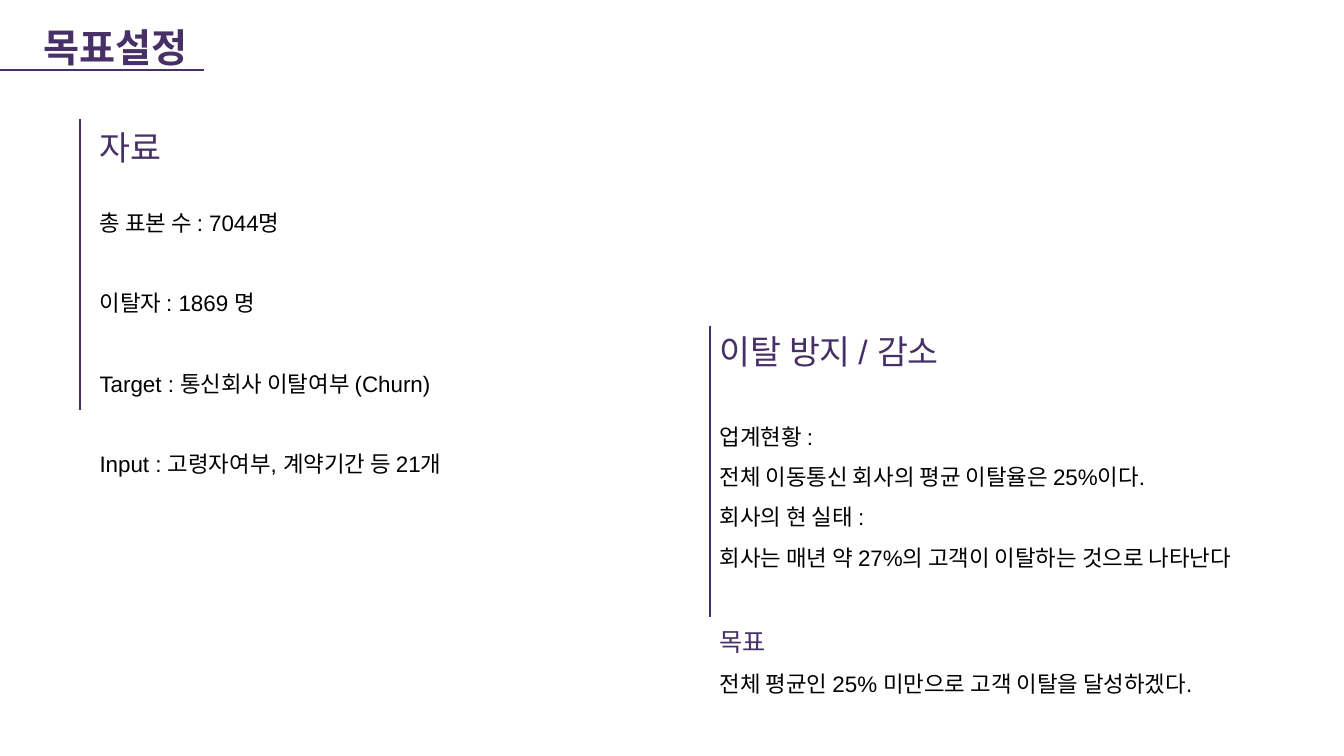
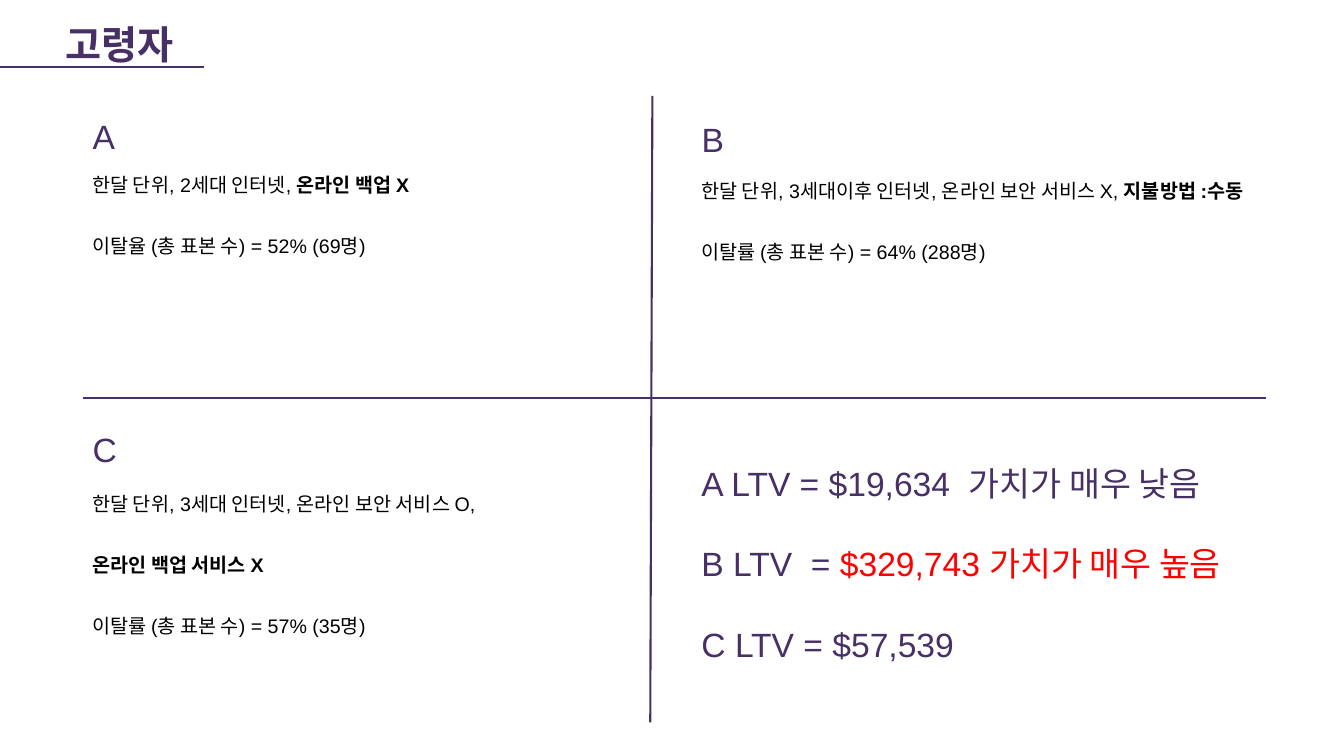
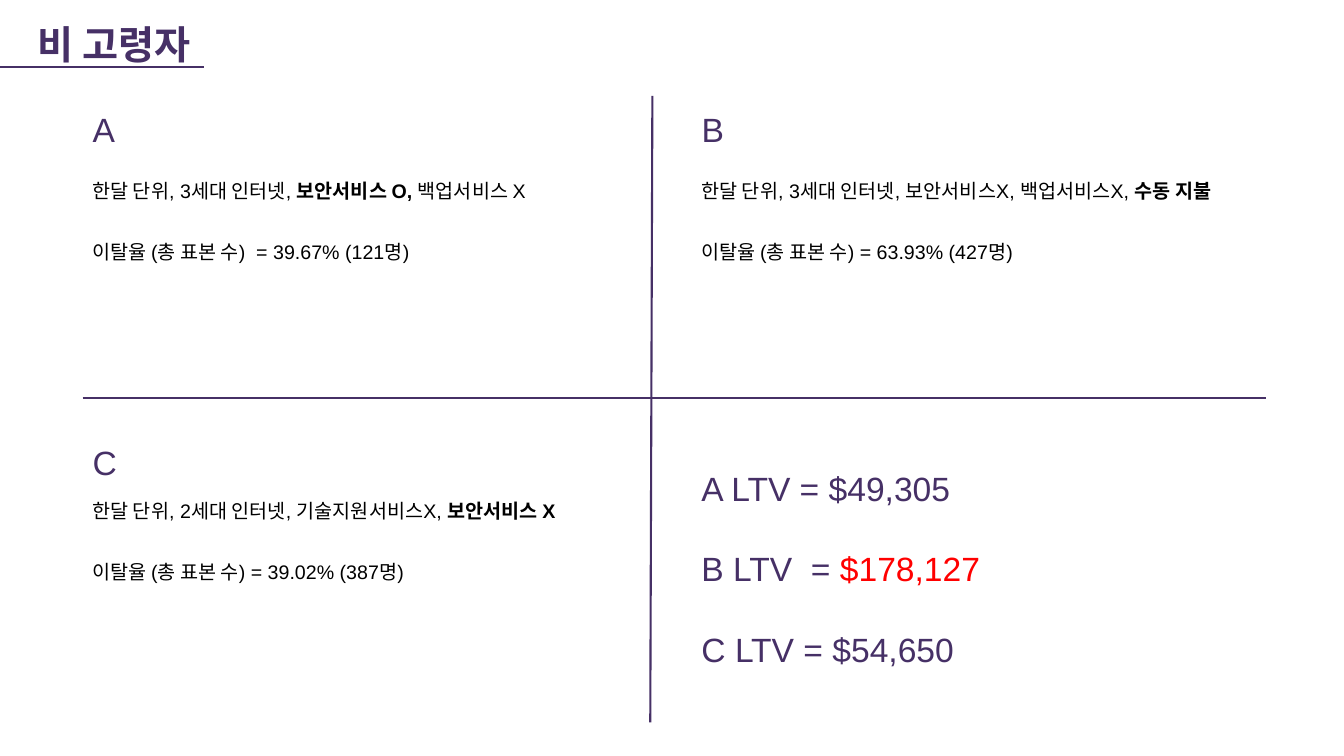
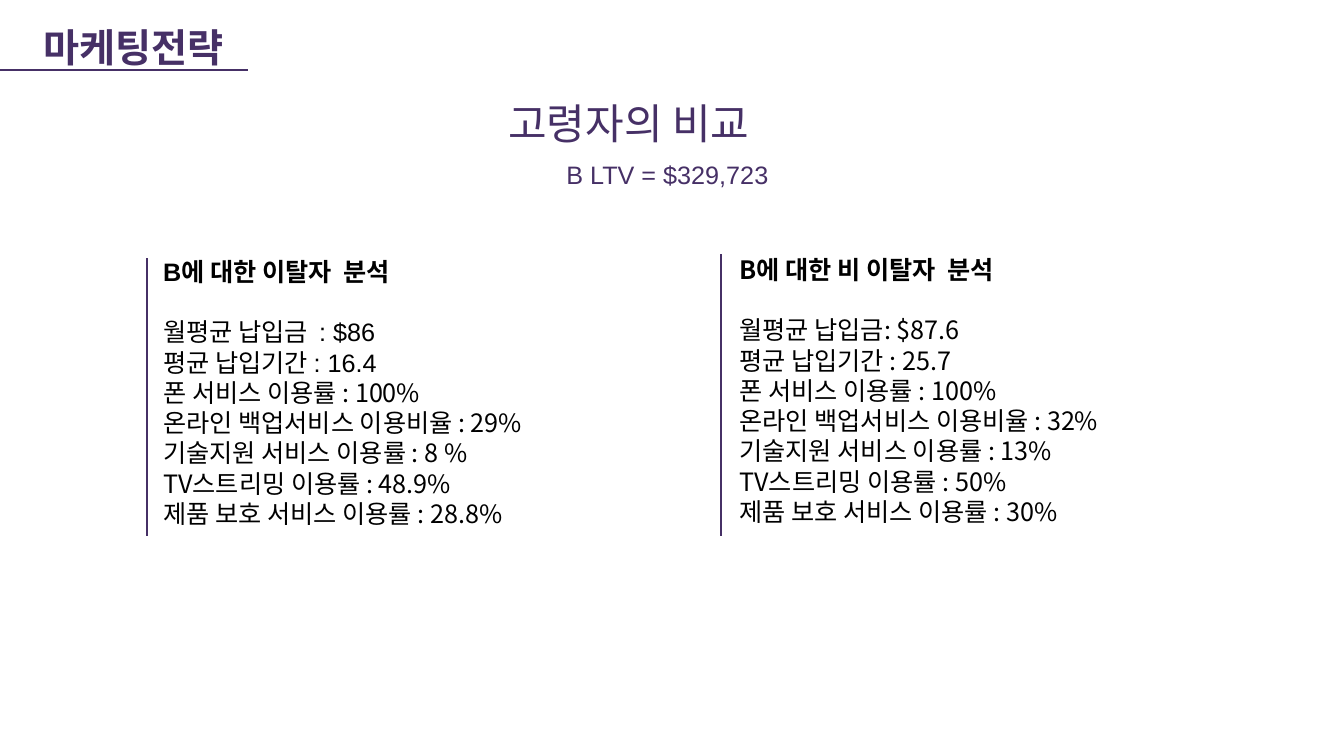
from dataclasses import dataclass, field
from typing import Any, NamedTuple

import pptx
import pptx.dml.color
import pptx.enum.shapes
import pptx.enum.text
import pptx.oxml.ns
import pptx.util
from lxml import etree

Pt = pptx.util.Pt
COLORS = {"plum": "463066", "black": "000000", "red": "FF0000"}
SANS, HANGUL = "Arial", "Noto Sans CJK KR"
WIDE, HIGH = 960, 540
LEFT, RIGHT = 59, 494
LEAD = 1.2


class Span(NamedTuple):
    text: str
    style: dict[str, Any] = {}


class Line(NamedTuple):
    spans: list[Span]
    gap: bool = False


class Rule(NamedTuple):
    x1: float
    y1: float
    x2: float
    y2: float


class Cell(NamedTuple):
    name: str
    left: float
    top: float
    start: float
    width: float
    lines: list[Line]


@dataclass
class Box:
    left: float
    top: float
    width: float
    height: float
    lines: list[Line]
    size: float = 24
    color: str = "plum"
    face: str = SANS
    bold: bool = False
    spacing: float = 1.0


@dataclass
class Quad:
    title: str
    left: float
    cells: list[Cell]
    top: float
    values: list[Line] = field(default_factory=list)


def line(text: str, gap: bool = False, **style: Any) -> Line:
    return Line([Span(text, style)], gap)


def bold(text: str) -> Span:
    return Span(text, {"bold": True})


def red(text: str) -> Span:
    return Span(text, {"color": "red"})


def paint(font: Any, style: dict[str, Any]) -> None:
    font.color.rgb = pptx.dml.color.RGBColor.from_string(COLORS[style["color"]])
    values = {"name": style["face"], "size": Pt(style["size"]), "bold": style["bold"]}
    for key, value in values.items():
        setattr(font, key, value)


def write(slide: Any, box: Box) -> None:
    """Add a text box; a line with a gap stands one blank line lower."""
    shape = slide.shapes.add_textbox(Pt(box.left), Pt(box.top), Pt(box.width), Pt(box.height))
    frame = shape.text_frame
    frame.word_wrap = True
    frame.auto_size = pptx.enum.text.MSO_AUTO_SIZE.SHAPE_TO_FIT_TEXT
    base = {"size": box.size, "color": box.color, "face": box.face, "bold": box.bold}
    for index, item in enumerate(box.lines):
        para = frame.add_paragraph() if index else frame.paragraphs[0]
        para.line_spacing = box.spacing
        if item.gap:
            para.space_before = Pt(round(LEAD * box.size * box.spacing, 1))
        for span in item.spans:
            run = para.add_run()
            run.text = span.text
            paint(run.font, base | span.style)
            east = etree.SubElement(run.font._element, pptx.oxml.ns.qn("a:ea"))
            east.set("typeface", HANGUL)


def draw(slide: Any, rule: Rule) -> None:
    link = slide.shapes.add_connector(
        pptx.enum.shapes.MSO_CONNECTOR.STRAIGHT, *(Pt(value) for value in rule)
    )
    link.line.color.rgb = pptx.dml.color.RGBColor.from_string(COLORS["plum"])
    link.line.width = Pt(1.5)
    etree.SubElement(link._element.spPr, pptx.oxml.ns.qn("a:effectLst"))


def start(deck: Any, title: str, left: float = 24, top: float = 13, width: float = 146) -> Any:
    """Add a blank slide with its underlined title."""
    slide = deck.slides.add_slide(deck.slide_layouts[6])
    write(slide, Box(left, top, 188, 41, [line(title)], 28, face=HANGUL, bold=True))
    draw(slide, Rule(0, top + 37, width, top + 37))
    return slide


def goals(deck: Any) -> None:
    slide = start(deck, "목표설정")
    data = [
        line("총 표본 수 : 7044명"),
        line("이탈자 : 1869 명", True),
        line("Target : 통신회사 이탈여부 (Churn)", True),
        line("Input : 고령자여부, 계약기간 등 21개", True),
    ]
    aims = [
        line("업계현황 :"),
        line("전체 이동통신 회사의 평균 이탈율은 25%이다."),
        line("회사의 현 실태 :"),
        line("회사는 매년 약 27%의 고객이 이탈하는 것으로 나타난다"),
        line("목표", True, size=18, color="plum"),
        line("전체 평균인 25% 미만으로 고객 이탈을 달성하겠다."),
    ]
    write(slide, Box(64, 87, 227, 36, [line("자료")]))
    write(slide, Box(64, 136, 389, 207, data, 16, "black", spacing=1.5))
    write(slide, Box(507, 233, 227, 36, [line("이탈 방지 / 감소")]))
    write(slide, Box(507, 289, 438, 211, aims, 16, "black", spacing=1.5))
    for x, y in ((57, 85), (507, 233)):
        draw(slide, Rule(x, y, x, y + 208))


def quad(deck: Any, page: Quad) -> None:
    """Add a slide of four fields: three segments and their values."""
    slide = start(deck, page.title, page.left, 11)
    draw(slide, Rule(466, 68.5, 464.5, 516))
    draw(slide, Rule(LEFT, 284.5, 904, 284.5))
    for cell in page.cells:
        write(slide, Box(cell.left, cell.top, 292, 36, [line(cell.name)]))
        write(slide, Box(cell.left, cell.start, cell.width, 73, cell.lines, 14, "black", spacing=1.3))
    write(slide, Box(RIGHT, page.top, 418, 153, page.values))


def plan(deck: Any) -> None:
    slide = start(deck, "마케팅전략", width=177)
    write(slide, Box(356, 66, 265, 44, [line("고령자의 비교")], 30))
    write(slide, Box(397.5, 110, 165, 29, [line("B LTV = $329,723")], 18))
    lost = [
        line("B에 대한 이탈자  분석", bold=True, face=SANS),
        line("월평균 납입금  : $86", True, face=SANS),
        line("평균 납입기간 : 16.4", face=SANS),
        line("폰 서비스 이용률 : 100%"),
        line("온라인 백업서비스 이용비율 : 29%"),
        line("기술지원 서비스 이용률 : 8 %"),
        line("TV스트리밍 이용률 : 48.9%"),
        line("제품 보호 서비스 이용률 : 28.8%"),
    ]
    kept = [
        line("B에 대한 비 이탈자  분석", bold=True),
        line("월평균 납입금: $87.6", True),
        line("평균 납입기간 : 25.7"),
        line("폰 서비스 이용률 : 100%"),
        line("온라인 백업서비스 이용비율 : 32%"),
        line("기술지원 서비스 이용률 : 13%"),
        line("TV스트리밍 이용률 : 50%"),
        line("제품 보호 서비스 이용률 : 30%"),
    ]
    write(slide, Box(109.5, 179.5, 310, 204, lost, 18, "black", HANGUL))
    write(slide, Box(521, 178, 343, 204, kept, 18, "black", HANGUL))
    draw(slide, Rule(105, 184.5, 105, 383))
    draw(slide, Rule(515, 181.5, 515, 383))


QUADS = [
    Quad(
        "고령자",
        40,
        [
            Cell("A", LEFT, 79, 115, 335, [
                Line([Span("한달 단위, 2세대 인터넷, "), bold("온라인 백업 X")]),
                line("이탈율 (총 표본 수) = 52% (69명)", True),
            ]),
            Cell("B", RIGHT, 81.5, 119.5, 457, [
                Line([Span("한달 단위, 3세대이후 인터넷, 온라인 보안 서비스 X, "), bold("지불방법 :수동")]),
                line("이탈률 (총 표본 수) = 64% (288명)", True),
            ]),
            Cell("C", LEFT, 302.5, 343, 335, [
                line("한달 단위, 3세대 인터넷, 온라인 보안 서비스 O,"),
                Line([bold("온라인 백업 서비스 X")], True),
                line("이탈률 (총 표본 수) = 57% (35명)", True),
            ]),
        ],
        327,
        [
            line("A LTV = $19,634  가치가 매우 낮음"),
            Line([Span("B LTV  = "), red("$329,743 가치가 매우 높음")], True),
            line("C LTV = $57,539", True),
        ],
    ),
    Quad(
        "비 고령자",
        20,
        [
            Cell("A", LEFT, 74, 119.5, 396, [
                Line([Span("한달 단위, 3세대 인터넷, "), bold("보안서비스 O, "), Span("백업서비스 X")]),
                line("이탈율 (총 표본 수)  = 39.67% (121명)", True),
            ]),
            Cell("B", RIGHT, 74, 119.5, 410, [
                Line([Span("한달 단위, 3세대 인터넷, 보안서비스X, 백업서비스X, "), bold("수동 지불")]),
                line("이탈율 (총 표본 수) = 63.93% (427명)", True),
            ]),
            Cell("C", LEFT, 312, 348, 396, [
                Line([Span("한달 단위, 2세대 인터넷, 기술지원서비스X, "), bold("보안서비스 X")]),
                line("이탈율 (총 표본 수) = 39.02% (387명)", True),
            ]),
        ],
        330.5,
        [
            line("A LTV = $49,305"),
            Line([Span("B LTV  = "), red("$178,127")], True),
            line("C LTV = $54,650", True),
        ],
    ),
]


def main() -> None:
    deck = pptx.Presentation()
    deck.slide_width, deck.slide_height = Pt(WIDE), Pt(HIGH)
    goals(deck)
    for page in QUADS:
        quad(deck, page)
    plan(deck)
    deck.save("out.pptx")


if __name__ == "__main__":
    main()
